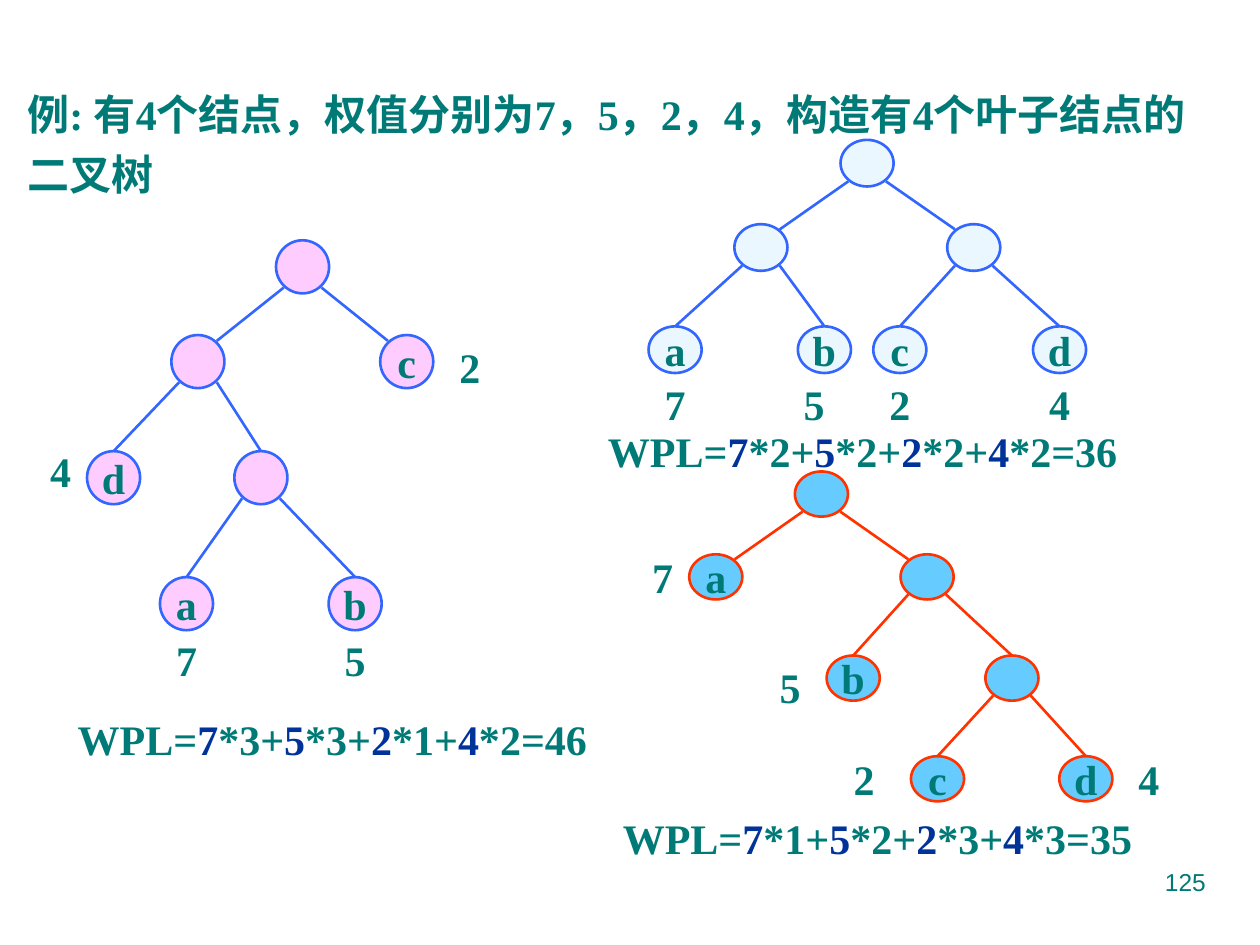
from dataclasses import dataclass
from lxml.etree import SubElement
from pptx import Presentation
from pptx.dml.color import RGBColor
from pptx.enum.shapes import MSO_CONNECTOR, MSO_SHAPE
from pptx.enum.text import MSO_ANCHOR, PP_ALIGN
from pptx.oxml.ns import qn
from pptx.util import Cm, Pt

NODE_WIDTH = 1.07
WEIGHT_HEIGHT = 1.27
TEAL = "007A77"
NAVY = "003399"


def color(value):
    return RGBColor.from_string(value)


def write(frame, *pieces, size=24, font="Times New Roman", bold=True,
          align=PP_ALIGN.CENTER, spacing=None):
    paragraph = frame.paragraphs[0]
    paragraph.alignment = align
    if spacing:
        paragraph.line_spacing = spacing
    for text, fill in pieces:
        run = paragraph.add_run()
        run.text = text
        run.font.size = Pt(size)
        run.font.name = font
        run.font.bold = bold
        run.font.color.rgb = color(fill)


@dataclass
class Node:
    x: float
    y: float
    parent: int | None = None
    letter: str = ""
    weight: str = ""
    weight_x: float = 0
    weight_y: float = 0


@dataclass
class Canvas:
    slide: object
    fill: str = "FFFFFF"
    line: str = "000000"
    node_height: float = 1.07

    def text(self, shapes, left, top, width, height, *pieces, **style):
        box = shapes.add_textbox(Cm(left), Cm(top), Cm(width), Cm(height))
        box.text_frame.word_wrap = True
        write(box.text_frame, *pieces, **style)

    def node(self, shapes, node):
        shape = shapes.add_shape(
            MSO_SHAPE.OVAL, Cm(node.x - NODE_WIDTH / 2),
            Cm(node.y - self.node_height / 2), Cm(NODE_WIDTH), Cm(self.node_height))
        shape.shadow.inherit = False
        shape.fill.solid()
        shape.fill.fore_color.rgb = color(self.fill)
        shape.line.color.rgb = color(self.line)
        shape.line.width = Pt(1.5)
        if node.letter:
            shape.text_frame.word_wrap = False
            shape.text_frame.vertical_anchor = MSO_ANCHOR.MIDDLE
            write(shape.text_frame, (node.letter, TEAL))

    def edge(self, shapes, parent, child):
        side = 0.38 if child.x > parent.x else -0.38
        drop = 0.39 * self.node_height
        if parent.parent is None:
            end_x, end_y = child.x - side, child.y - drop
        else:
            end_x, end_y = child.x, child.y - self.node_height / 2
        connector = shapes.add_connector(
            MSO_CONNECTOR.STRAIGHT, Cm(parent.x + side), Cm(parent.y + drop),
            Cm(end_x), Cm(end_y))
        connector.line.color.rgb = color(self.line)
        connector.line.width = Pt(1.5)
        SubElement(connector._element.spPr, qn("a:effectLst"))

    def tree(self, nodes, fill, line, node_height):
        self.fill, self.line, self.node_height = fill, line, node_height
        shapes = self.slide.shapes.add_group_shape().shapes
        for node in nodes:
            self.node(shapes, node)
        for node in nodes:
            if node.parent is not None:
                self.edge(shapes, nodes[node.parent], node)
            if node.weight:
                self.text(shapes, node.weight_x - NODE_WIDTH / 2,
                          node.weight_y - WEIGHT_HEIGHT / 2,
                          NODE_WIDTH, WEIGHT_HEIGHT, (node.weight, TEAL))

    def path_length(self, left, top, width, depths, total):
        pieces = [("WPL=", TEAL)]
        for weight, depth, ending in zip("7524", depths, ["+", "+", "+", f"={total}"]):
            pieces += [(weight, NAVY), (f"*{depth}{ending}", TEAL)]
        self.text(self.slide.shapes, left, top, width, 1.27, *pieces)


BALANCED = [
    Node(17.48, 3.29),
    Node(15.34, 4.99, 0),
    Node(19.63, 4.99, 0),
    Node(13.61, 7.05, 1, "a", "7", 13.61, 8.15),
    Node(16.62, 7.05, 1, "b", "5", 16.41, 8.15),
    Node(18.14, 7.05, 2, "c", "2", 18.14, 8.15),
    Node(21.36, 7.05, 2, "d", "4", 21.36, 8.15),
]
LEFT_DEEP = [
    Node(6.1, 5.38),
    Node(3.99, 7.29, 0),
    Node(8.2, 7.29, 0, "c", "2", 9.47, 7.39),
    Node(2.29, 9.63, 1, "d", "4", 1.22, 9.5),
    Node(5.26, 9.63, 1),
    Node(3.76, 12.17, 4, "a", "7", 3.76, 13.31),
    Node(7.16, 12.17, 4, "b", "5", 7.16, 13.31),
]
HUFFMAN = [
    Node(16.56, 9.96),
    Node(14.43, 11.63, 0, "a", "7", 13.36, 11.63),
    Node(18.69, 11.63, 0),
    Node(17.2, 13.67, 2, "b", "5", 15.93, 13.84),
    Node(20.4, 13.67, 2),
    Node(18.9, 15.7, 4, "c", "2", 17.42, 15.7),
    Node(21.89, 15.7, 4, "d", "4", 23.16, 15.7),
]


def main():
    presentation = Presentation()
    presentation.slide_width = Cm(25.4)
    presentation.slide_height = Cm(19.05)
    slide = presentation.slides.add_slide(presentation.slide_layouts[6])
    canvas = Canvas(slide)
    canvas.text(slide.shapes, 0.3, 1.45, 24.61, 2.69,
                ("例: 有4个结点，权值分别为7，5，2，4，构造有4个叶子结点的二叉树", TEAL),
                align=PP_ALIGN.LEFT, spacing=1.2)
    canvas.tree(BALANCED, "EBF7FF", "3366FF", 0.94)
    canvas.path_length(11.89, 8.46, 11, "2222", 36)
    canvas.tree(LEFT_DEEP, "FFCCFF", "3366FF", 1.07)
    canvas.path_length(1.3, 14.25, 10.8, "3312", 46)
    canvas.tree(HUFFMAN, "66CCFF", "FF3300", 0.91)
    canvas.path_length(12.29, 16.26, 10.8, "1233", 35)
    canvas.text(slide.shapes, 18.21, 17.35, 6.35, 1.32, ("125", TEAL),
                size=14, font="Arial", bold=False, align=PP_ALIGN.RIGHT)
    presentation.save("out.pptx")


if __name__ == "__main__":
    main()
